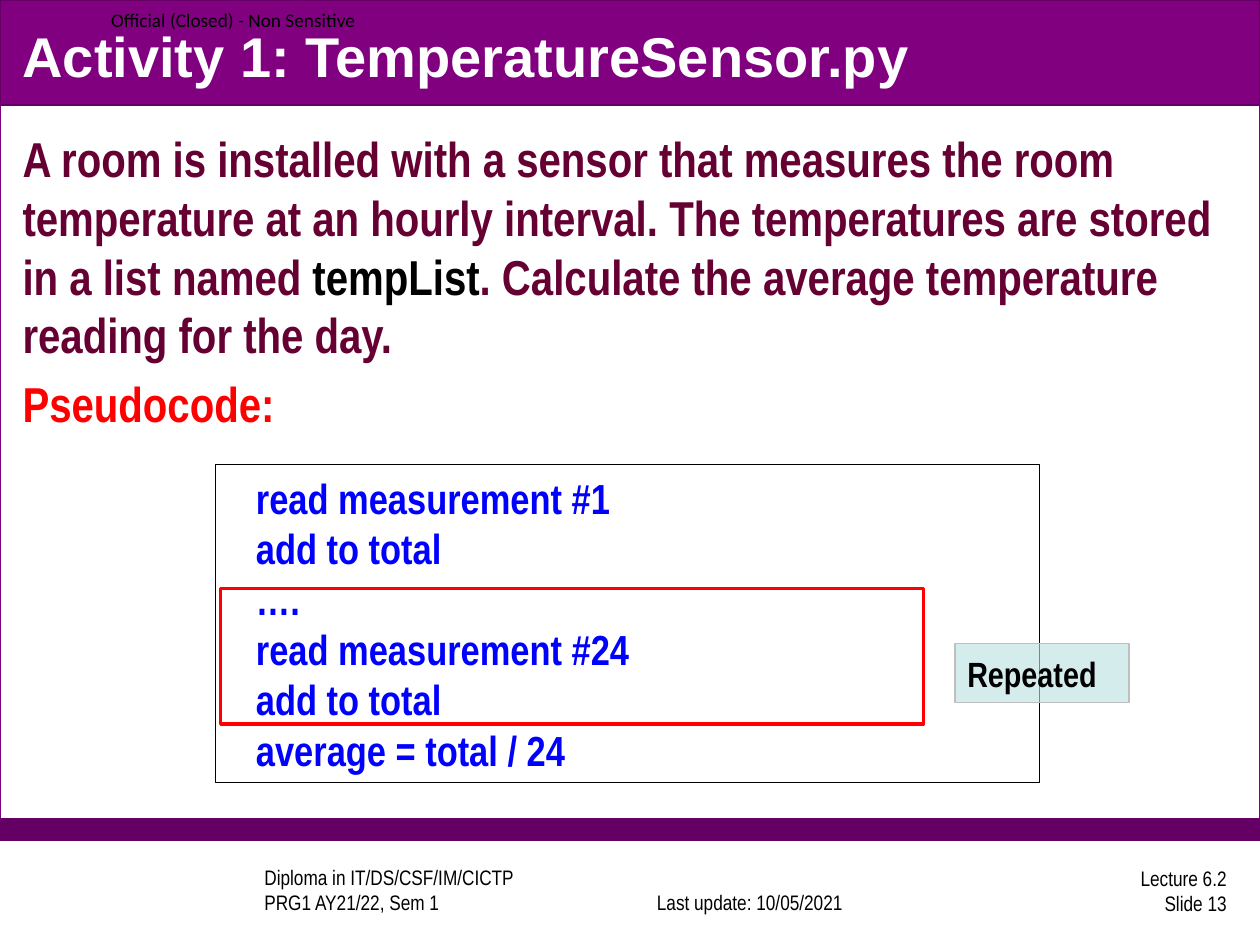
from lxml.etree import SubElement as Sub
from pptx import Presentation
from pptx.dml.color import RGBColor
from pptx.enum.shapes import MSO_SHAPE as Kind
from pptx.enum.text import MSO_ANCHOR as Anchor, MSO_AUTO_SIZE as Fit, PP_ALIGN as Align
from pptx.oxml.ns import qn
from pptx.util import Cm, Pt

WHITE = RGBColor(0xFF, 0xFF, 0xFF)
BLACK = RGBColor(0x00, 0x00, 0x00)
PURPLE = RGBColor(0x80, 0x00, 0x80)
PLUM = RGBColor(0x64, 0x00, 0x64)
WINE = RGBColor(0x66, 0x00, 0x33)
RED = RGBColor(0xFF, 0x00, 0x00)
BLUE = RGBColor(0x00, 0x00, 0xFF)
AQUA = RGBColor(0xBB, 0xE0, 0xE3)
GREY = RGBColor(0xBF, 0xBF, 0xBF)
NARROW = "Arial Narrow"
WIDE = 25.4


class Deck:
    def __init__(self):
        self.file = Presentation()
        self.file.slide_width = Cm(WIDE)
        self.file.slide_height = Cm(19.05)
        self.slide = self.file.slides.add_slide(self.file.slide_layouts[1])

    def place(self, item, box):
        item.left, item.top, item.width, item.height = map(Cm, box)

    def words(self, item, paras, size, color=BLACK, font=NARROW, bold=False,
              align=Align.LEFT, anchor=Anchor.MIDDLE):
        frame = item.text_frame
        frame.word_wrap = True
        frame.auto_size = Fit.NONE
        frame.vertical_anchor = anchor
        frame.text = "\n".join(paras)
        for para in frame.paragraphs:
            para.alignment = align
            for run in para.runs:
                self.style(run, size, color, font, bold)
        return frame

    def style(self, run, size, color, font=NARROW, bold=True):
        run.font.size = Pt(size)
        run.font.name = font
        run.font.bold = bold
        run.font.color.rgb = color

    def rect(self, box, fill, line, width=0.75, alpha=None):
        item = self.slide.shapes.add_shape(Kind.RECTANGLE, *map(Cm, box))
        item.shadow.inherit = False
        item.line.color.rgb = line
        item.line.width = Pt(width)
        if fill is None:
            item.fill.background()
            return item
        item.fill.solid()
        item.fill.fore_color.rgb = fill
        if alpha:
            tint = item.element.spPr.find(qn("a:solidFill"))[0]
            Sub(tint, qn("a:alpha"), val=str(alpha * 1000))
        return item

    def label(self, box, text, size=12, **look):
        item = self.slide.shapes.add_textbox(*map(Cm, box))
        return self.words(item, [text], size, **look)

    def holder(self, index, box, paras, size, **look):
        item = self.slide.placeholders[index]
        item.element.getparent().append(item.element)
        self.place(item, box)
        return self.words(item, paras, size, bold=True, **look)

    def plain(self, para):
        props = para._p.get_or_add_pPr()
        props.set("marL", "0")
        props.set("indent", "0")
        Sub(props, qn("a:buNone"))


def main():
    deck = Deck()
    deck.rect((0, 0, WIDE, 16.93), WHITE, PURPLE, alpha=90)
    deck.rect((0, 16.51, WIDE, 0.43), PLUM, PLUM)
    deck.rect((0, 0, WIDE, 2.12), PURPLE, PLUM)

    deck.label((5.08, 17.5, 6.78, 1.07),
               "Diploma in IT/DS/CSF/IM/CICTP\vPRG1 AY21/22, Sem 1", anchor=Anchor.BOTTOM)
    deck.label((12.47, 17.5, 5.29, 1.07), "Last update: 10/05/2021",
               align=Align.CENTER, anchor=Anchor.BOTTOM)
    deck.label((19.69, 17.42, 5.29, 1.07), "Lecture 6.2\vSlide 13", align=Align.RIGHT)
    mark = deck.label((0, 0, 7.65, 0.79), "Official (Closed) - Non Sensitive", 11, font="Calibri")
    mark.margin_left = Cm(2.24)
    mark.margin_right = mark.margin_top = mark.margin_bottom = 0

    deck.holder(0, (0.2, 0.33, 24.97, 1.57), ["Activity 1: TemperatureSensor.py"], 32,
                color=WHITE, font="Arial")
    body = deck.holder(1, (0.2, 2.46, 24.97, 13.84), [
        "A room is installed with a sensor that measures the room temperature at an hourly "
        "interval. The temperatures are stored in a list named ",
        "Pseudocode:"], 28, color=WINE, anchor=Anchor.TOP)
    task, head = body.paragraphs
    for text, color in (("tempList", BLACK),
                        (". Calculate the average temperature reading for the day.", WINE)):
        run = task.add_run()
        run.text = text
        deck.style(run, 28, color)
    head.runs[0].font.color.rgb = RED
    for para in body.paragraphs:
        deck.plain(para)

    panel = deck.rect((4.34, 9.37, 16.61, 6.4), WHITE, BLACK)
    steps = deck.words(panel, ["read measurement #1", "add to total", "….",
                               "read measurement #24", "add to total",
                               "average = total / 24"], 24, BLUE, bold=True)
    steps.margin_left = Cm(0.82)
    deck.rect((4.45, 11.86, 14.17, 2.74), None, RED, 2)
    tag = deck.rect((19.25, 12.98, 3.51, 1.19), AQUA, GREY, alpha=61)
    deck.words(tag, ["Repeated"], 20, bold=True)
    deck.file.save("out.pptx")


if __name__ == "__main__":
    main()
